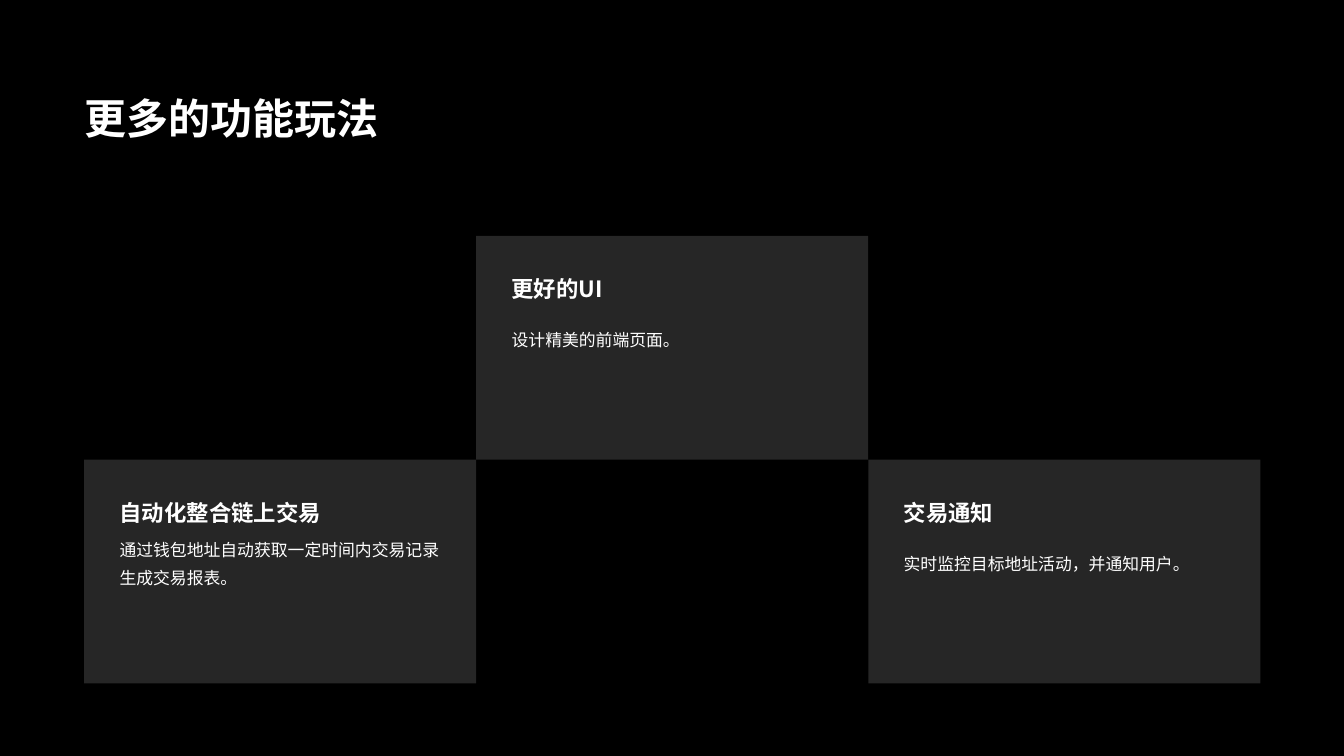
from lxml import etree
from pptx import Presentation
from pptx import util as u
from pptx.dml.color import RGBColor
from pptx.enum import shapes, text
from pptx.oxml.ns import qn

BLACK = RGBColor(0x00, 0x00, 0x00)
CARD_GREY = RGBColor(0x26, 0x26, 0x26)
WHITE = RGBColor(0xFF, 0xFF, 0xFF)
FONT = "Noto Sans CJK SC"

MARGIN = 1.59
CARD_WIDTH, CARD_HEIGHT = 7.41, 4.23
CARDS_TOP = 4.46
PADDING = 0.67
TEXT_WIDTH = 6.1

# row of the card, heading, description; the column follows the order
CARDS = [
    (1, "自动化整合链上交易", "通过钱包地址自动获取一定时间内交易记录生成交易报表。"),
    (0, "更好的UI", "设计精美的前端页面。"),
    (1, "交易通知", "实时监控目标地址活动，并通知用户。"),
]


def write(box, wording, size, spacing, bold=False):
    """Fill a text shape with one white, left-aligned paragraph."""
    frame = box.text_frame
    frame_format = {
        "margin_left": 0, "margin_top": 0, "margin_right": 0, "margin_bottom": 0,
        "word_wrap": True,
        "auto_size": text.MSO_AUTO_SIZE.NONE,
        "vertical_anchor": text.MSO_ANCHOR.MIDDLE,
    }
    for name, value in frame_format.items():
        setattr(frame, name, value)

    paragraph = frame.paragraphs[0]
    paragraph.alignment = text.PP_ALIGN.LEFT
    paragraph.line_spacing = u.Pt(spacing)
    run = paragraph.add_run()
    run.text = wording
    for name, value in {"name": FONT, "size": u.Pt(size), "bold": bold}.items():
        setattr(run.font, name, value)
    run.font.color.rgb = WHITE
    latin = run.font._element.find(qn("a:latin"))
    east_asian = etree.Element(qn("a:ea"), typeface=FONT)
    latin.addnext(east_asian)


prs = Presentation()
prs.slide_width, prs.slide_height = u.Cm(25.4), u.Cm(14.29)
slide = prs.slides.add_slide(prs.slide_layouts[5])
slide.background.fill.solid()
slide.background.fill.fore_color.rgb = BLACK

title = slide.shapes.title
title.left, title.top = u.Cm(MARGIN), u.Cm(MARGIN)
title.width, title.height = u.Cm(19.58), u.Cm(1.11)
write(title, "更多的功能玩法", 22.5, 31.5, bold=True)

for column, (row, heading, description) in enumerate(CARDS):
    left = MARGIN + column * CARD_WIDTH
    top = CARDS_TOP + row * CARD_HEIGHT
    card = slide.shapes.add_shape(
        shapes.MSO_SHAPE.RECTANGLE,
        u.Cm(left), u.Cm(top), u.Cm(CARD_WIDTH), u.Cm(CARD_HEIGHT))
    card.shadow.inherit = False
    card.fill.solid()
    card.fill.fore_color.rgb = CARD_GREY
    card.line.fill.background()

    heading_box = slide.shapes.add_textbox(
        u.Cm(left + PADDING), u.Cm(top + PADDING), u.Cm(TEXT_WIDTH), u.Cm(0.58))
    write(heading_box, heading, 12, 16.9, bold=True)
    description_box = slide.shapes.add_textbox(
        u.Cm(left + PADDING), u.Cm(top + 1.36), u.Cm(TEXT_WIDTH), u.Cm(1.07))
    write(description_box, description, 9, 15)

prs.save("out.pptx")
